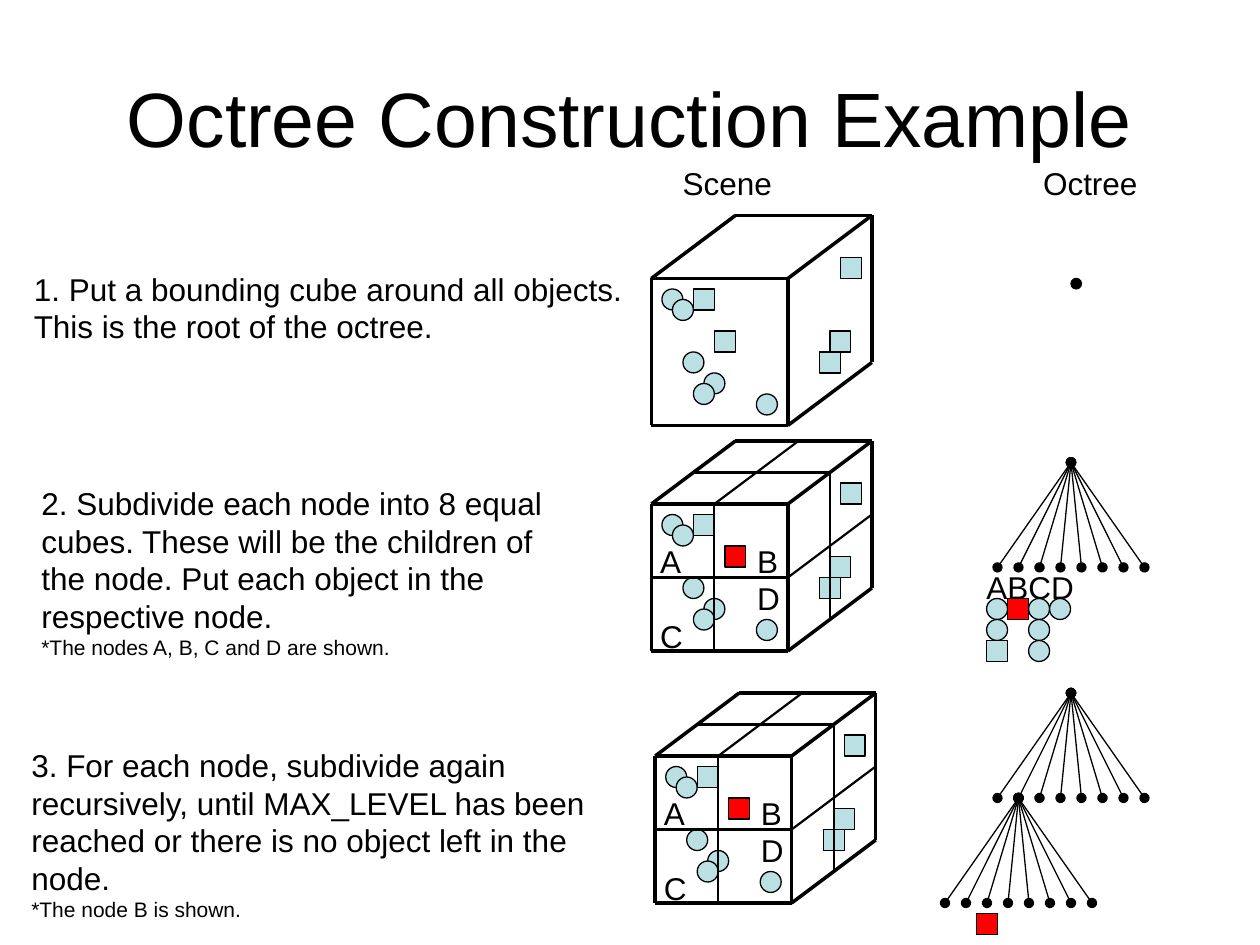
from lxml.etree import SubElement
from pptx import Presentation
from pptx.dml.color import RGBColor
from pptx.enum.shapes import MSO_CONNECTOR as Connector, MSO_SHAPE as Shape
from pptx.enum.text import MSO_ANCHOR as Anchor, MSO_AUTO_SIZE as AutoSize, PP_ALIGN as Align
from pptx.oxml.ns import qn
from pptx.util import Inches, Pt

COLORS = {"ink": "000000", "object": "BBE0E3", "highlight": "FF0000"}
UNIT = 1 / 12
CIRCLES = [(1, 1), (2, 2), (3, 7), (5, 9), (4, 10), (10, 11)]
SIDE_SQUARES = [(16, 7), (17, 5), (18, -2)]
CUBE_EDGES = [
    ((0, 0), (0, 14)), ((13, 0), (13, 14)), ((21, -6), (21, 8)),
    ((0, 0), (13, 0)), ((0, 14), (13, 14)), ((8, -6), (21, -6)),
    ((0, 0), (8, -6)), ((13, 0), (21, -6)), ((13, 14), (21, 8)),
]
SPLIT_EDGES = [
    ((6, 0), (6, 14)), ((17, -3), (17, 11)), ((14, -6), (6, 0)),
    ((0, 7), (13, 7)), ((4, -3), (17, -3)), ((13, 7), (21, 1)),
]
NODE_CONTENTS = [
    [(Shape.OVAL, "object"), (Shape.OVAL, "object"), (Shape.RECTANGLE, "object")],
    [(Shape.RECTANGLE, "highlight")],
    [(Shape.OVAL, "object")] * 3,
    [(Shape.OVAL, "object")],
]


def color(name):
    return RGBColor.from_string(COLORS[name])


def place(origin, point):
    return origin[0] + point[0] * UNIT, origin[1] + point[1] * UNIT


class SlideBuilder:
    font = "Arial"

    def __init__(self, slide):
        self.slide = slide

    def format_paragraph(self, paragraph, size):
        for run in paragraph.runs:
            run.font.name = self.font
            run.font.size = Pt(size)
            run.font.color.rgb = color("ink")

    def title(self, text, left, top, width, height):
        title = self.slide.shapes.title
        title.left, title.top = Inches(left), Inches(top)
        title.width, title.height = Inches(width), Inches(height)
        title.text_frame.text = text
        title.text_frame.vertical_anchor = Anchor.MIDDLE
        paragraph = title.text_frame.paragraphs[0]
        paragraph.alignment = Align.CENTER
        self.format_paragraph(paragraph, 44)

    def text(self, lines, left, top, width, height, wrap=False, note=None, tab=None):
        box = self.slide.shapes.add_textbox(
            Inches(left), Inches(top), Inches(width), Inches(height))
        frame = box.text_frame
        frame.word_wrap = wrap
        frame.auto_size = AutoSize.SHAPE_TO_FIT_TEXT
        frame.text = "\n".join(lines + ([note] if note else []))
        for paragraph in frame.paragraphs:
            self.format_paragraph(paragraph, 18)
            if tab:
                stops = SubElement(paragraph._p.get_or_add_pPr(), qn("a:tabLst"))
                SubElement(stops, qn("a:tab"), pos=str(Inches(tab)), algn="l")
        if note:
            self.format_paragraph(frame.paragraphs[-1], 12)

    def shape(self, kind, left, top, fill="object", size=2 * UNIT):
        shape = self.slide.shapes.add_shape(
            kind, Inches(left), Inches(top), Inches(size), Inches(size))
        shape.shadow.inherit = False
        shape.fill.solid()
        shape.fill.fore_color.rgb = color(fill)
        shape.line.color.rgb = color("ink")
        shape.line.width = Pt(0.75)

    def line(self, start, end, width, oval_ends=False):
        connector = self.slide.shapes.add_connector(
            Connector.STRAIGHT, *map(Inches, start + end))
        connector.line.color.rgb = color("ink")
        connector.line.width = Pt(width)
        if oval_ends:
            outline = connector.line._get_or_add_ln()
            for tag in ("a:headEnd", "a:tailEnd"):
                SubElement(outline, qn(tag), type="oval")
        SubElement(connector._element.spPr, qn("a:effectLst"))

    def edges(self, origin, edges, width):
        for start, end in edges:
            self.line(place(origin, start), place(origin, end), width)

    def objects(self, origin, squares):
        for point in CIRCLES:
            self.shape(Shape.OVAL, *place(origin, point))
        for point in squares + SIDE_SQUARES:
            self.shape(Shape.RECTANGLE, *place(origin, point))

    def root_scene(self, origin):
        self.edges(origin, CUBE_EDGES, 2)
        self.objects(origin, [(4, 1), (6, 5)])

    def divided_scene(self, origin):
        self.objects(origin, [(4, 1)])
        self.shape(Shape.RECTANGLE, *place(origin, (7, 4)), fill="highlight")
        self.edges(origin, CUBE_EDGES, 2)
        self.edges(origin, SPLIT_EDGES, 1.25)
        self.text(["A\tB", "\tD", "C"], origin[0] - 0.03, origin[1] + 0.25,
                  1.16, 1, tab=0.77)

    def tree(self, root):
        for offset in range(-7, 8, 2):
            self.line(root, place(root, (offset, 10)), 0.75, oval_ends=True)

    def node_contents(self, origin):
        for column, contents in enumerate(NODE_CONTENTS):
            for row, (kind, fill) in enumerate(contents):
                self.shape(kind, *place(origin, (2 * column, 2 * row)), fill=fill)


def main():
    presentation = Presentation()
    presentation.slide_width, presentation.slide_height = Inches(10), Inches(7.5)
    builder = SlideBuilder(presentation.slides.add_slide(presentation.slide_layouts[5]))

    builder.title("Octree Construction Example", 0.5, 0.3, 9, 1.25)
    builder.text(["Scene\tOctree"], 5.32, 1.25, 3.81, 0.4, tab=2.86)

    builder.root_scene((5.17, 2.21))
    builder.text(["1. Put a bounding cube around all objects.",
                  "This is the root of the octree."], 0.17, 2.09, 4.9, 0.7)
    builder.shape(Shape.OVAL, 8.5, 2.21, fill="ink", size=UNIT)

    builder.text(["2. Subdivide each node into 8 equal cubes. These will be the children "
                  "of the node. Put each object in the respective node."],
                 0.23, 3.79, 4.43, 1.5, wrap=True,
                 note="*The nodes A, B, C and D are shown.")
    builder.divided_scene((5.17, 4))
    builder.tree((8.5, 3.67))
    builder.text(["ABCD"], 7.73, 4.46, 0.94, 0.4)
    builder.node_contents((7.83, 4.75))

    builder.text(["3. For each node, subdivide again recursively, until MAX_LEVEL has "
                  "been reached or there is no object left in the node."],
                 0.15, 5.87, 4.68, 1.5, wrap=True, note="*The node B is shown.")
    builder.divided_scene((5.2, 6))
    root = (8.5, 5.5)
    builder.tree(root)
    builder.tree(place(root, (-5, 10)))
    builder.shape(Shape.RECTANGLE, 7.75, 7.25, fill="highlight")

    presentation.save("out.pptx")


if __name__ == "__main__":
    main()
